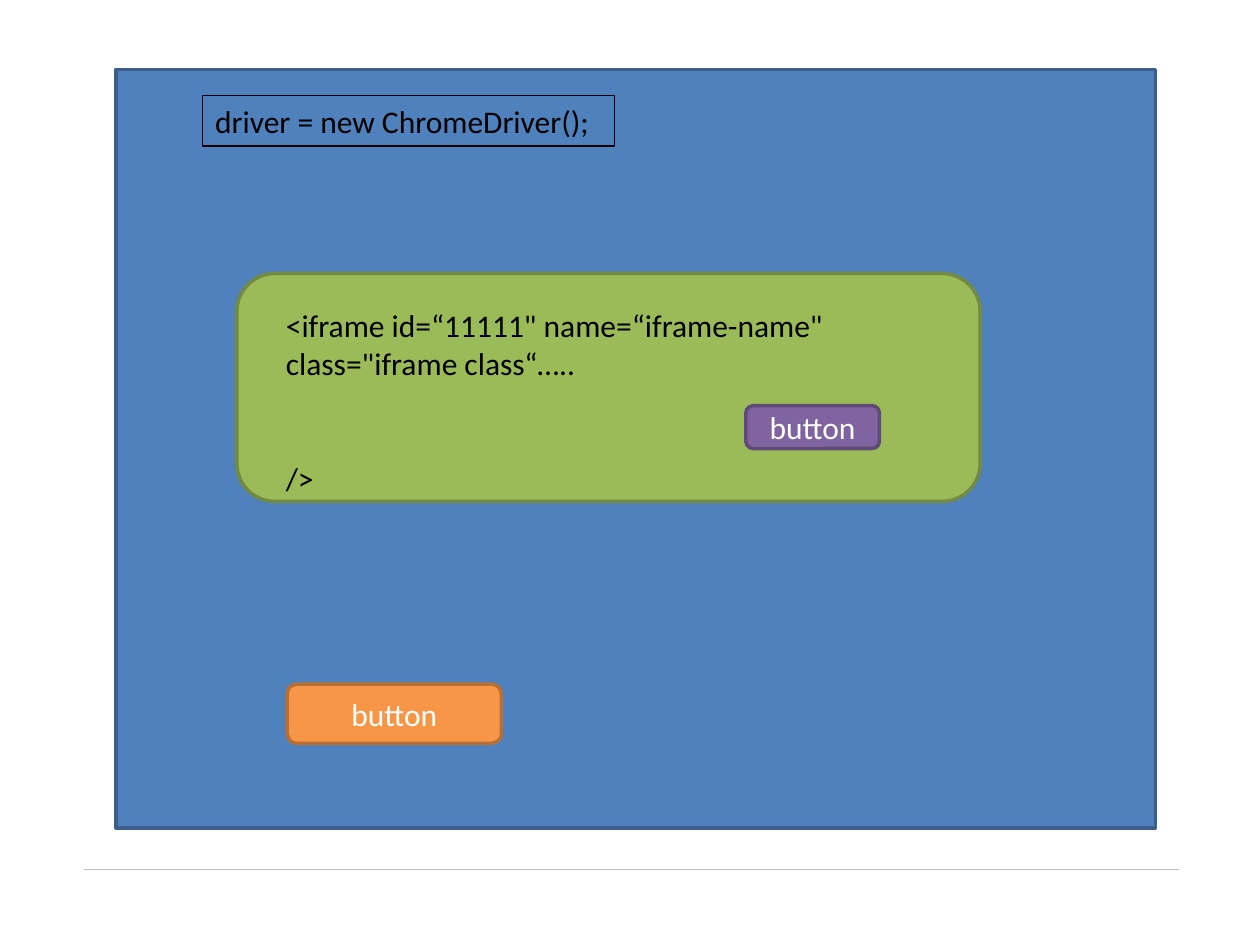
from lxml.etree import SubElement
from pptx import Presentation
from pptx.dml.color import RGBColor
from pptx.enum.shapes import MSO_CONNECTOR, MSO_SHAPE
from pptx.enum.text import MSO_ANCHOR, PP_ALIGN
from pptx.oxml.ns import qn
from pptx.util import Inches, Pt

WIDTH, HEIGHT = Inches(10), Inches(7.5)
COLUMN, ROW = WIDTH / 100, HEIGHT / 75

BLACK = RGBColor(0x00, 0x00, 0x00)
WHITE = RGBColor(0xFF, 0xFF, 0xFF)
RULE_GREY = RGBColor(0xBF, 0xBF, 0xBF)
PAGE_BLUE, PAGE_EDGE = RGBColor(0x4F, 0x81, 0xBD), RGBColor(0x3A, 0x5F, 0x8C)
FRAME_GREEN, FRAME_EDGE = RGBColor(0x9B, 0xBB, 0x59), RGBColor(0x73, 0x8A, 0x42)
INNER_PURPLE, INNER_EDGE = RGBColor(0x80, 0x64, 0xA2), RGBColor(0x5F, 0x4A, 0x78)
OUTER_ORANGE, OUTER_EDGE = RGBColor(0xF7, 0x96, 0x46), RGBColor(0xB7, 0x6F, 0x34)


def grid(column, row, columns, rows):
    """Turn grid units into left, top, width and height."""
    return (round(column * COLUMN), round(row * ROW),
            round(columns * COLUMN), round(rows * ROW))


def add_rule(slide, column, row, columns):
    left, top, width, _ = grid(column, row, columns, 0)
    rule = slide.shapes.add_connector(
        MSO_CONNECTOR.STRAIGHT, left, top, left + width, top)
    rule.line.color.rgb = RULE_GREY
    rule.line.width = Pt(0.75)
    SubElement(rule._element.spPr, qn("a:effectLst"))


def add_panel(slide, place, fill, edge, kind=MSO_SHAPE.ROUNDED_RECTANGLE, weight=2):
    panel = slide.shapes.add_shape(kind, *grid(*place))
    panel.shadow.inherit = False
    if fill is None:
        panel.fill.background()
    else:
        panel.fill.solid()
        panel.fill.fore_color.rgb = fill
    panel.line.color.rgb = edge
    panel.line.width = Pt(weight)
    return panel


def write(holder, *lines, color=BLACK, align=PP_ALIGN.LEFT,
          anchor=MSO_ANCHOR.TOP, gap=0):
    """Write one paragraph per line, with gap points between them."""
    frame = holder.text_frame
    frame.word_wrap = True
    frame.vertical_anchor = anchor
    for index, line in enumerate(lines):
        paragraph = frame.add_paragraph() if index else frame.paragraphs[0]
        paragraph.text = line
        paragraph.alignment = align
        paragraph.font.name = "Calibri"
        paragraph.font.size = Pt(18)
        paragraph.font.color.rgb = color
        if index:
            paragraph.space_before = Pt(gap)


def add_button(slide, place, fill, edge):
    button = add_panel(slide, place, fill, edge)
    write(button, "button", color=WHITE, align=PP_ALIGN.CENTER,
          anchor=MSO_ANCHOR.MIDDLE)


def main():
    deck = Presentation()
    deck.slide_width, deck.slide_height = WIDTH, HEIGHT
    slide = deck.slides.add_slide(deck.slide_layouts[6])

    add_rule(slide, 6.7, 69, 86.9)
    add_panel(slide, (9.2, 5.5, 82.5, 60.2), PAGE_BLUE, PAGE_EDGE,
              kind=MSO_SHAPE.RECTANGLE)
    driver = add_panel(slide, (16.1, 7.6, 32.7, 4), None, BLACK,
                       kind=MSO_SHAPE.RECTANGLE, weight=0.75)
    write(driver, "driver = new ChromeDriver();")

    add_panel(slide, (18.8, 21.7, 59, 18.1), FRAME_GREEN, FRAME_EDGE)
    markup = slide.shapes.add_textbox(*grid(21.7, 23.8, 50.9, 16.2))
    write(markup,
          '<iframe id=“11111" name=“iframe-name" class="iframe class“…..',
          "/>", gap=44)

    add_button(slide, (59.2, 32.2, 10.6, 3.4), INNER_PURPLE, INNER_EDGE)
    add_button(slide, (22.8, 54.3, 17, 4.7), OUTER_ORANGE, OUTER_EDGE)

    deck.save("out.pptx")


if __name__ == "__main__":
    main()
